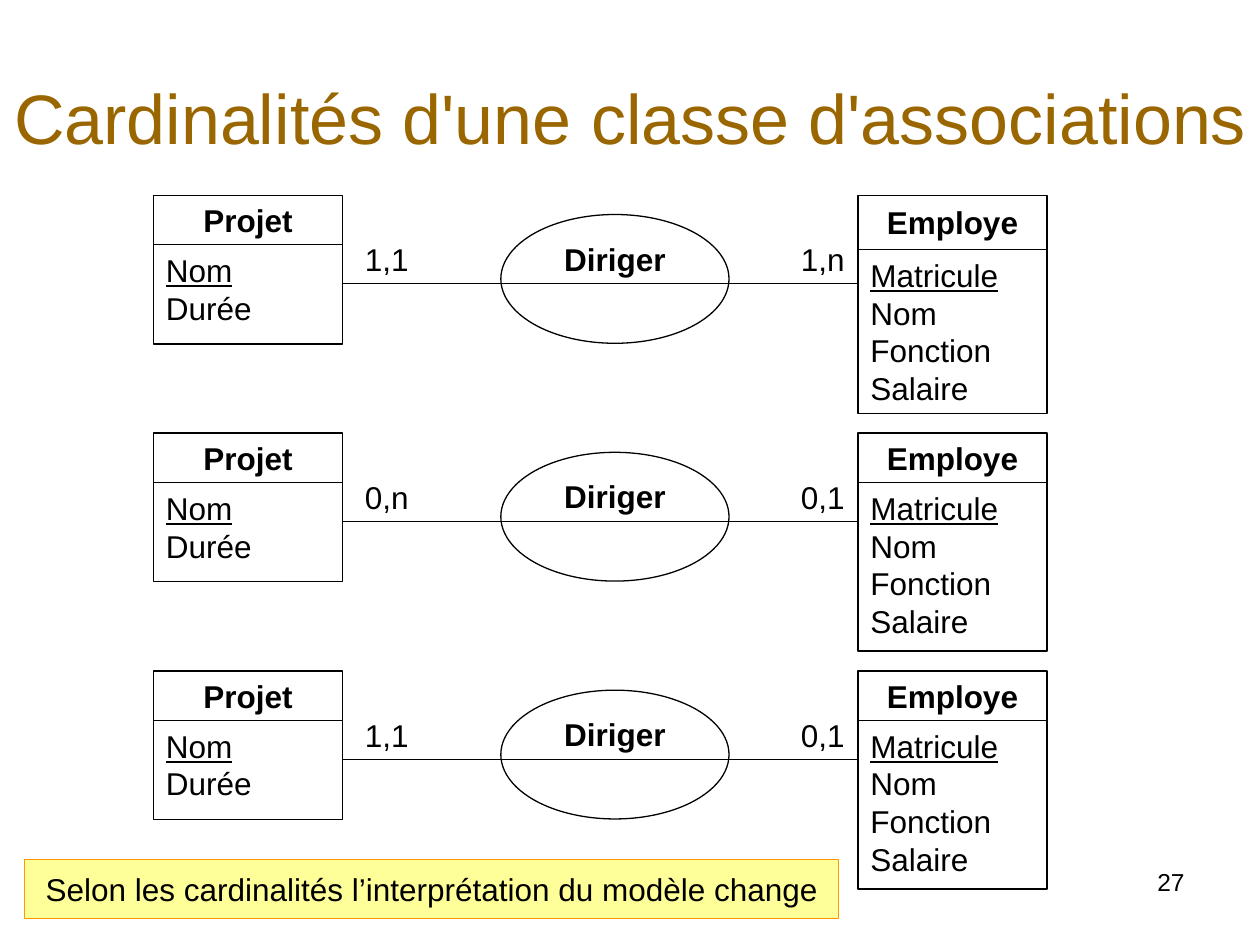
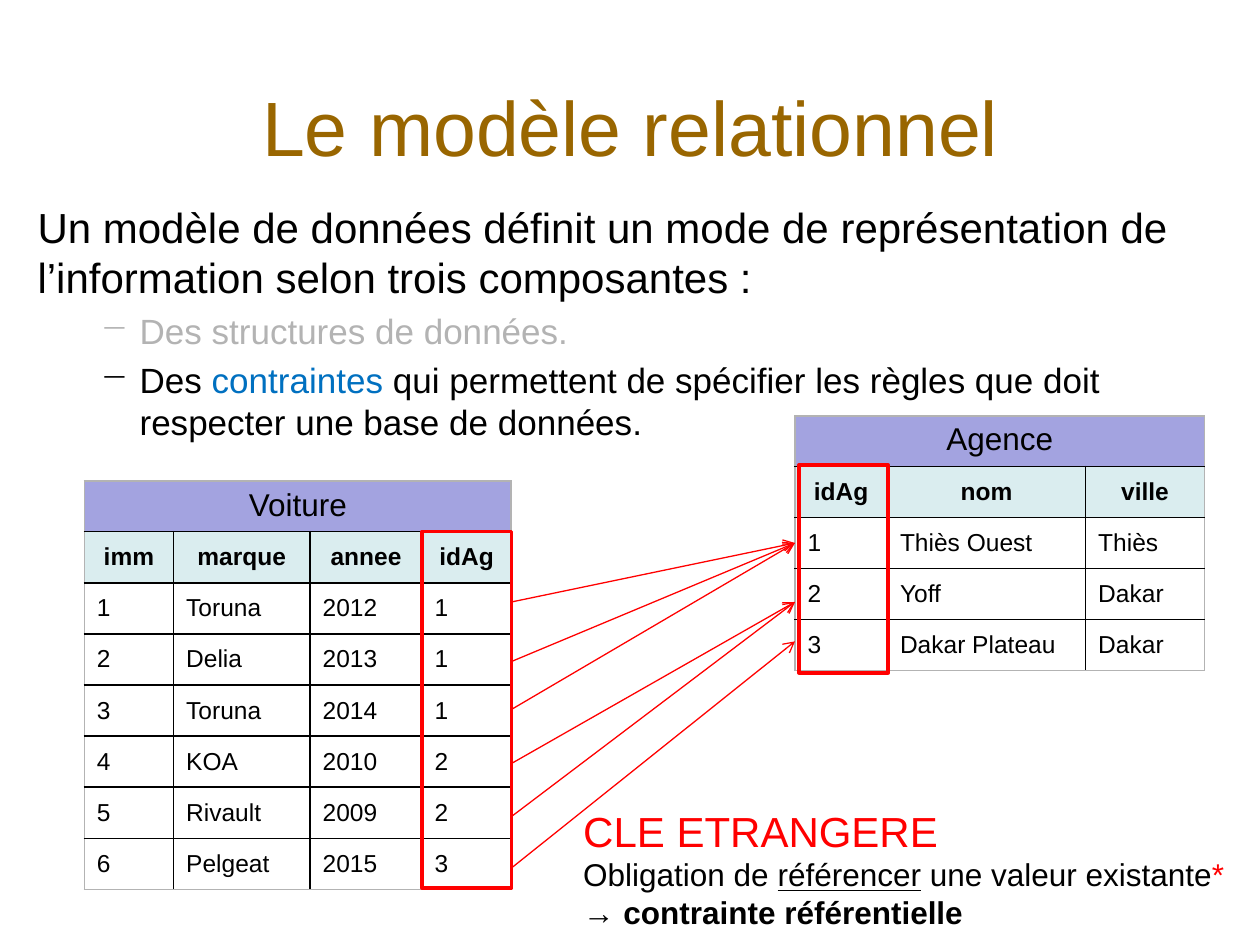
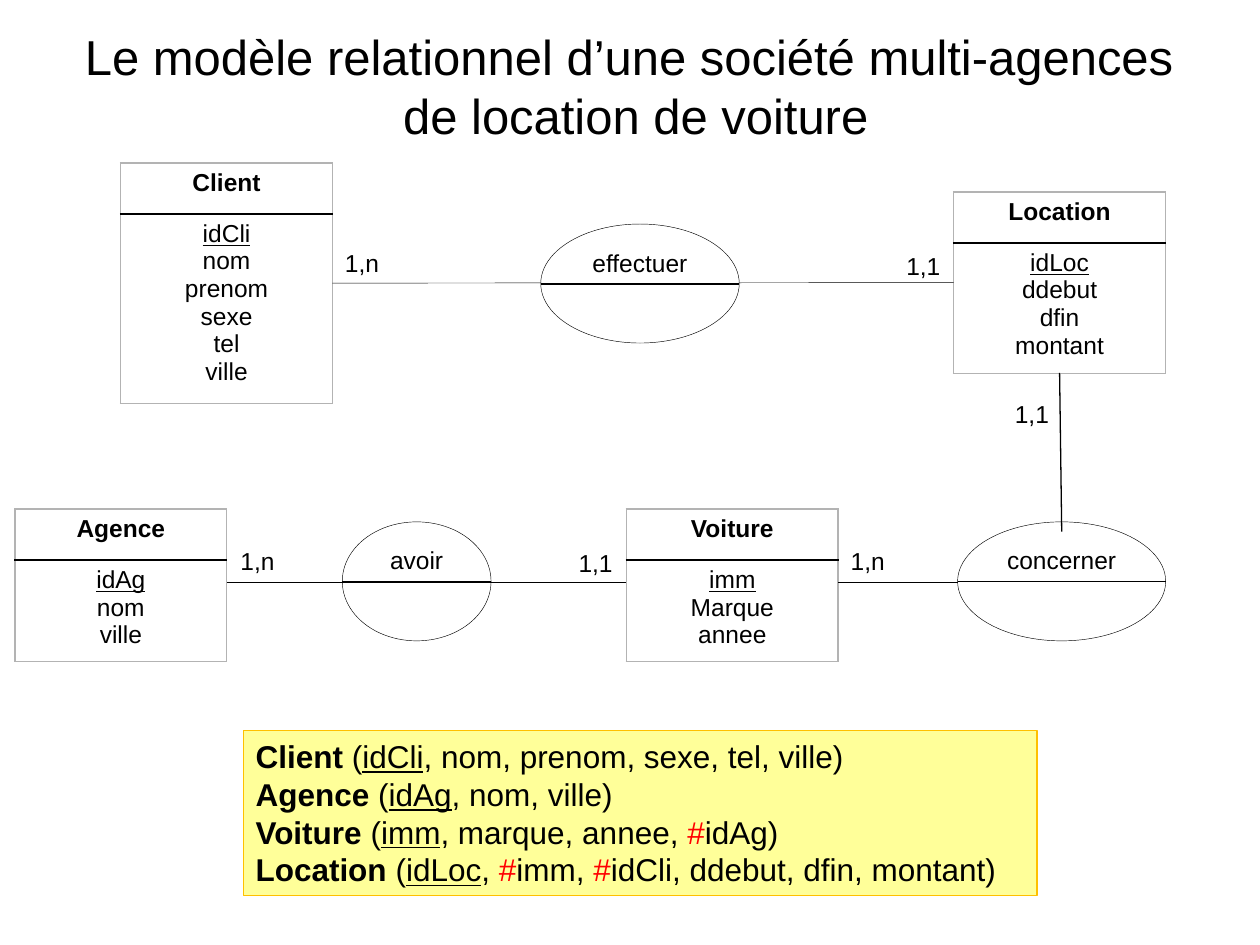
from lxml import etree
from pptx import Presentation
from pptx import util as u
from pptx.dml import color
from pptx.enum import shapes, text
from pptx.oxml import ns

BLACK = color.RGBColor(0x00, 0x00, 0x00)
WHITE = color.RGBColor(0xFF, 0xFF, 0xFF)
BROWN = color.RGBColor(0x99, 0x66, 0x00)
RED = color.RGBColor(0xFF, 0x00, 0x00)
BLUE = color.RGBColor(0x00, 0x70, 0xC0)
DIMMED = color.RGBColor(0xB3, 0xB3, 0xB3)
YELLOW = color.RGBColor(0xFF, 0xFF, 0x99)
ORANGE = color.RGBColor(0xFF, 0x99, 0x00)
GOLD = color.RGBColor(0xFF, 0xC0, 0x00)
LILAC = color.RGBColor(0xA3, 0xA3, 0xE0)
AQUA = color.RGBColor(0xDA, 0xED, 0xEF)

LEFT, CENTER, RIGHT = text.PP_ALIGN.LEFT, text.PP_ALIGN.CENTER, text.PP_ALIGN.RIGHT
TOP, MIDDLE = text.MSO_ANCHOR.TOP, text.MSO_ANCHOR.MIDDLE
RECT, OVAL = shapes.MSO_SHAPE.RECTANGLE, shapes.MSO_SHAPE.OVAL
BOLD, KEY, MARK = {"bold": True}, {"underline": True}, {"color": RED}


def sub(parent, tag, **attrs):
    """Append a DrawingML child element."""
    return etree.SubElement(parent, ns.qn("a:" + tag), attrs)


class Deck:
    """Holds the shared style and the current slide."""

    base = {"name": "Arial", "size": 18, "color": BLACK}

    def __init__(self, width, height):
        self.prs = Presentation()
        self.prs.slide_width, self.prs.slide_height = u.Pt(width), u.Pt(height)

    def slide(self):
        """Start a blank slide."""
        self.s = self.prs.slides.add_slide(self.prs.slide_layouts[6])

    def add_run(self, p, txt, fmt):
        """Add one formatted run."""
        r = p.add_run()
        r.text = txt
        for key, value in fmt.items():
            if key == "color":
                r.font.color.rgb = value
            else:
                setattr(r.font, key, u.Pt(value) if key == "size" else value)

    def add_paras(self, tf, paras, align=LEFT, **fmt):
        """Fill a frame; a paragraph is a string or a list of strings and (text, format) pairs."""
        for i, para in enumerate(paras):
            p = tf.paragraphs[0] if i == 0 else tf.add_paragraph()
            p.alignment = align
            for part in [para] if isinstance(para, str) else para:
                txt, own = (part, {}) if isinstance(part, str) else part
                self.add_run(p, txt, {**self.base, **fmt, **own})

    def text(self, x, y, w, h, paras, anchor=TOP, **fmt):
        """Add a wrapped text box."""
        tf = self.s.shapes.add_textbox(*map(u.Pt, (x, y, w, h))).text_frame
        tf.word_wrap, tf.vertical_anchor = True, anchor
        self.add_paras(tf, paras, **fmt)
        return tf

    def title(self, x, y, w, h, lines, **fmt):
        """Add a centred slide title."""
        fmt = {"color": BROWN, "size": 44, **fmt}
        tf = self.text(x, y, w, h, lines[:1], MIDDLE, align=CENTER, **fmt)
        tf.margin_left = tf.margin_right = 0
        for line in lines[1:]:
            p = tf.paragraphs[0]
            p.add_line_break()
            self.add_run(p, line, {**self.base, **fmt})

    def shape(self, kind, x, y, w, h, paras=(), fill=None, line=BLACK, weight=0.75,
              anchor=TOP, **fmt):
        """Add an outlined preset shape with text."""
        sp = self.s.shapes.add_shape(kind, *map(u.Pt, (x, y, w, h)))
        sp.shadow.inherit = False
        if fill is None:
            sp.fill.background()
        else:
            sp.fill.solid()
            sp.fill.fore_color.rgb = fill
        sp.line.color.rgb, sp.line.width = line, u.Pt(weight)
        tf = sp.text_frame
        tf.word_wrap, tf.vertical_anchor = True, anchor
        self.add_paras(tf, paras, **fmt)

    def line(self, x1, y1, x2, y2, rgb=BLACK, weight=0.75, arrow=False):
        """Add a straight line, with an open arrowhead on request."""
        cn = self.s.shapes.add_connector(
            shapes.MSO_CONNECTOR.STRAIGHT, *map(u.Pt, (x1, y1, x2, y2)))
        cn.line.color.rgb, cn.line.width = rgb, u.Pt(weight)
        spPr = cn._element.spPr
        if arrow:
            sub(spPr.get_or_add_ln(), "tailEnd", type="arrow")
        sub(spPr, "effectLst")

    def borders(self, cell, edges):
        """Draw cell borders, grey on the outside of the table."""
        for side, outer in edges.items():
            ln = sub(cell._tc.get_or_add_tcPr(), "ln" + side, w=str(u.Pt(1)))
            sub(sub(ln, "solidFill"), "srgbClr", val=str(DIMMED if outer else BLACK))

    def table(self, x, y, widths, heights, rows):
        """Add a table of (style, cells) rows; a row with one cell spans the table."""
        nr, nc = len(heights), len(widths)
        tbl = self.s.shapes.add_table(
            nr, nc, *map(u.Pt, (x, y, sum(widths), sum(heights)))).table
        tbl.first_row = tbl.horz_banding = False
        for col, w in zip(tbl.columns, widths):
            col.width = u.Pt(w)
        for i, (style, cells) in enumerate(rows):
            tbl.rows[i].height = u.Pt(heights[i])
            span = len(cells) < nc
            if span:
                tbl.cell(i, 0).merge(tbl.cell(i, nc - 1))
            fmt = dict(style)
            fill, anchor = fmt.pop("fill", None), fmt.pop("anchor", TOP)
            for j in range(nc):
                cell = tbl.cell(i, j)
                self.borders(cell, {"L": span or j == 0, "R": span or j == nc - 1,
                                    "T": i == 0, "B": i == nr - 1})
                if fill is None:
                    cell.fill.background()
                else:
                    cell.fill.solid()
                    cell.fill.fore_color.rgb = fill
                cell.vertical_anchor = anchor
                if j < len(cells):
                    paras = cells[j]
                    self.add_paras(cell.text_frame,
                                   [paras] if isinstance(paras, str) else paras, **fmt)

    def relation(self, x, y, widths, name, header, records):
        """Add a table with a name band, a header row and records."""
        body = {"size": 14, "anchor": MIDDLE}
        rows = [({"fill": LILAC, "align": CENTER}, [name]),
                ({**body, **BOLD, "fill": AQUA, "align": CENTER}, header)]
        rows += [(body, record) for record in records]
        self.table(x, y, widths, [28] + [29.2] * (len(rows) - 1), rows)

    def entity(self, x, y, w, head, body, name, key, *fields):
        """Add an entity made of two stacked boxes."""
        self.shape(RECT, x, y, w, head, [name], anchor=MIDDLE, align=CENTER, **BOLD)
        self.shape(RECT, x, y + head, w, body, [[(key, KEY)], *fields])

    def entity_table(self, x, y, body, name, key, *fields):
        """Add an entity as a table with one column."""
        style = {"size": 14, "align": CENTER}
        self.table(x, y, [121], [29.2, body],
                   [({**style, **BOLD}, [name]), (style, [[[(key, KEY)], *fields]])])

    def association(self, x, y, w, name):
        """Add a white ellipse split by a line."""
        self.shape(OVAL, x, y, w, 68, [name], WHITE, weight=0.25, size=14, align=CENTER)
        self.line(x, y + 34.3, x + w, y + 34.3)

    def bullet(self, p):
        """Turn a paragraph into a dashed second-level item."""
        pPr = p._p.get_or_add_pPr()
        for key, value in {"lvl": "1", "marL": str(u.Pt(58.3)), "indent": str(u.Pt(-22.3))}.items():
            pPr.set(key, value)
        sub(pPr, "buChar", char="─")


def cardinalities(d):
    """Build the slide on cardinalities."""
    d.slide()
    d.text(516, 491.8, 168, 37, ["27"], size=14, align=RIGHT)
    d.title(0, 21.6, 720, 90, ["Cardinalités d'une classe d'associations"], size=40)
    cases = [("1,1", "1,n", 31), ("0,n", "0,1", 28.3), ("1,1", "0,1", 28.3)]
    for i, (left, right, head) in enumerate(cases):
        y = 111.6 + 135.9 * i
        d.entity(87.8, y, 108, 28.3, 56.7, "Projet", "Nom", "Durée")
        d.entity(490.3, y, 108, head, 124.6 - head,
                 "Employe", "Matricule", "Nom", "Fonction", "Salaire")
        d.shape(OVAL, 286.2, y + 11, 130.4, 73.6, ["Diriger"], align=CENTER, **BOLD)
        d.line(195.8, y + 50.6, 490.3, y + 50.6)
        for x, label in ((201.4, left), (450.5, right)):
            d.text(x, y + 22.3, 40, 28.8, [label])
    d.shape(RECT, 14.2, 491, 465.1, 34,
            ["Selon les cardinalités l’interprétation du modèle change"],
            YELLOW, ORANGE, anchor=MIDDLE, align=CENTER)


def relational_model(d):
    """Build the slide on foreign keys."""
    d.slide()
    d.title(14.4, 21.6, 692, 100.8, ["Le modèle relationnel"])
    small = {"size": 20}
    tf = d.text(14.4, 111.6, 692, 102.2, [
        "Un modèle de données définit un mode de représentation de l’information "
        "selon trois composantes :",
        [("Des structures de données.", {**small, "color": DIMMED})],
        [("Des ", small), ("contraintes", {**small, "color": BLUE}),
         (" qui permettent de spécifier les règles que doit respecter une base de données.",
          small)]], size=24)
    for p, gap in zip(tf.paragraphs, (4.8, 4, 4)):
        p.space_before = u.Pt(gap)
    for p in tf.paragraphs[1:]:
        d.bullet(p)
    d.relation(454.3, 237.6, [52.8, 113.3, 68], "Agence", ["idAg", "nom", "ville"],
               [["1", "Thiès Ouest", "Thiès"], ["2", "Yoff", "Dakar"],
                ["3", "Dakar Plateau", "Dakar"]])
    d.relation(48.2, 275, [51, 78, 64, 51], "Voiture", ["imm", "marque", "annee", "idAg"],
               [["1", "Toruna", "2012", "1"], ["2", "Delia", "2013", "1"],
                ["3", "Toruna", "2014", "1"], ["4", "KOA", "2010", "2"],
                ["5", "Rivault", "2009", "2"], ["6", "Pelgeat", "2015", "3"]])
    for y1, y2 in ((344, 310.3), (378, 310.3), (405.4, 310.3),
                   (436.3, 344), (466.6, 344), (496, 366.5)):
        d.line(292.3, y1, 454.3, y2, RED, arrow=True)
    for x, y, h in ((241.2, 303.8, 203.8), (456.5, 265.7, 118.8)):
        d.shape(RECT, x, y, 51.1, h, line=RED, weight=2)
    d.text(326.2, 456.5, 391, 80, [
        [("CLE ETRANGERE", {**MARK, "size": 24})],
        ["Obligation de ", ("référencer", KEY), " une valeur existante", ("*", MARK)],
        ["→ ", ("contrainte référentielle", BOLD)]])


def rental_company(d):
    """Build the slide on the car rental model."""
    d.slide()
    d.title(14.4, 9.4, 697.7, 79.2,
            ["Le modèle relationnel d’une société multi-agences ", "de location de voiture"],
            size=28, color=BLACK)
    d.shape(RECT, 139, 417.6, 453.6, 94.3, [
        [("Client ", BOLD), "(", ("idCli", KEY), ", nom, prenom, sexe, tel, ville)"],
        [("Agence", BOLD), " (", ("idAg", KEY), ", nom, ville)"],
        [("Voiture", BOLD), " (", ("imm", KEY), ", marque, annee, ", ("#", MARK), "idAg)"],
        [("Location", BOLD), " (", ("idLoc", KEY), ", ", ("#", MARK), "imm, ",
         ("#", MARK), "idCli, ddebut, dfin, montant)"]], YELLOW, GOLD)
    d.entity_table(69, 93, 108.3, "Client", "idCli", "nom", "prenom", "sexe", "tel", "ville")
    d.entity_table(358, 290.9, 58, "Voiture", "imm", "Marque", "annee")
    d.entity_table(545, 109.6, 74.7, "Location", "idLoc", "ddebut", "dfin", "montant")
    d.entity_table(8.6, 290.9, 58, "Agence", "idAg", "nom", "ville")
    d.line(190, 161.8, 545, 161.5, weight=0.25)
    for x, y, w, name in ((547.2, 298.2, 118.9, "concerner"), (195.6, 298.2, 85, "avoir"),
                          (309, 128, 113.4, "effectuer")):
        d.association(x, y, w, name)
    d.line(606.7, 303.8, 605.5, 213.1)
    for x1, x2 in ((479, 547.2), (129.6, 358)):
        d.line(x1, 332.5, x2, 332.5, weight=0.25)
    for x, y, label, align in (
            (190, 138.4, "1,n", LEFT), (502, 139.7, "1,1", RIGHT), (479, 308.2, "1,n", LEFT),
            (130.3, 308.2, "1,n", LEFT), (314.7, 309.6, "1,1", RIGHT),
            (564, 224.6, "1,1", RIGHT)):
        d.text(x, y, 42.5, 24.5, [label], size=14, align=align)


def main():
    """Build and save the slides."""
    d = Deck(720, 540)
    for build in (cardinalities, relational_model, rental_company):
        build(d)
    d.prs.save("out.pptx")


if __name__ == "__main__":
    main()
